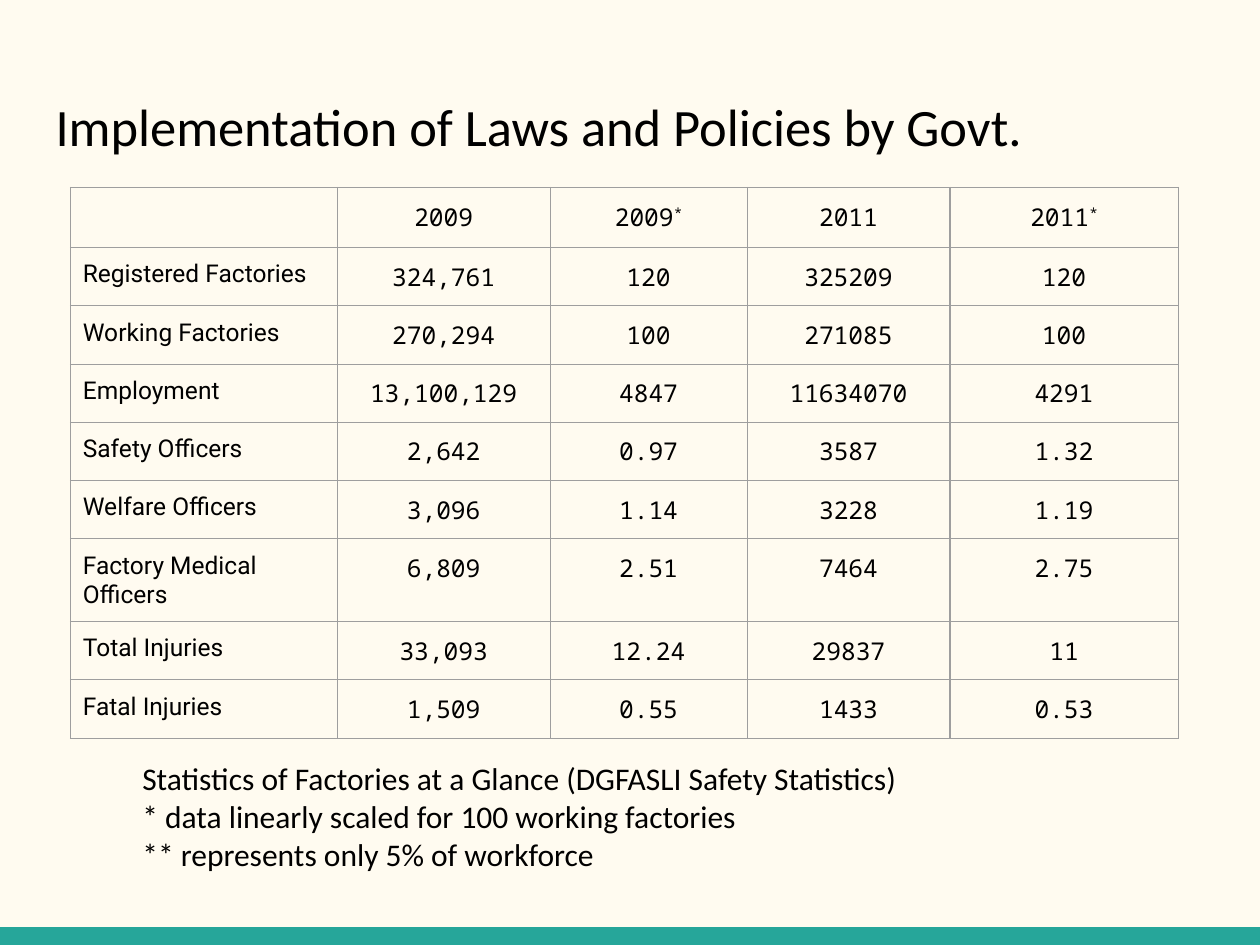
import pptx
import pptx.dml.color
import pptx.enum.shapes
import pptx.enum.text
import pptx.oxml
import pptx.util
from pptx.util import Cm

ALIGN = pptx.enum.text.PP_ALIGN
TOP = pptx.enum.text.MSO_ANCHOR.TOP
BLACK, CREAM, TEAL, GREY = "000000", "FFFBF0", "26A69A", "9E9E9E"
INSET = Cm(0.25)


def color(hex_code):
    return pptx.dml.color.RGBColor.from_string(hex_code)


def write(frame, text, *, font, size, align=ALIGN.LEFT):
    """Fill a text frame, one paragraph a line; each starred year gets a raised star."""
    frame.word_wrap = True
    frame.vertical_anchor = TOP
    frame.margin_left = frame.margin_right = INSET
    frame.margin_top = frame.margin_bottom = INSET
    for number, line in enumerate(text.split("\n")):
        paragraph = frame.add_paragraph() if number else frame.paragraphs[0]
        paragraph.alignment = align
        parts = [line[:-1], "*"] if line.endswith("*") else [line]
        for part in parts:
            run = paragraph.add_run()
            run.text = part
            run.font.name = font
            run.font.size = pptx.util.Pt(size)
            run.font.color.rgb = color(BLACK)
            if part == "*":
                run.font._element.set("baseline", "30000")


# Slide and background
deck = pptx.Presentation()
deck.slide_width, deck.slide_height = Cm(25.4), Cm(19.05)
slide = deck.slides.add_slide(deck.slide_layouts[5])
slide.background.fill.solid()
slide.background.fill.fore_color.rgb = color(CREAM)

# Bottom band
band = slide.shapes.add_shape(
    pptx.enum.shapes.MSO_SHAPE.RECTANGLE, 0, Cm(18.69), Cm(25.4), Cm(0.36))
band.shadow.inherit = False
band.fill.solid()
band.fill.fore_color.rgb = color(TEAL)
band.line.fill.background()

# Title
title = slide.shapes.title
title.left, title.top, title.width, title.height = Cm(0.87), Cm(1.65), Cm(23.67), Cm(2.26)
write(title.text_frame, "Implementation of Laws and Policies by Govt.",
      font="Calibri", size=30)

# Factory statistics
statistics = [
    ["", "2009", "2009*", "2011", "2011*"],
    ["Registered Factories", "324,761", "120", "325209", "120"],
    ["Working Factories", "270,294", "100", "271085", "100"],
    ["Employment", "13,100,129", "4847", "11634070", "4291"],
    ["Safety Officers", "2,642", "0.97", "3587", "1.32"],
    ["Welfare Officers", "3,096", "1.14", "3228", "1.19"],
    ["Factory Medical Officers", "6,809", "2.51", "7464", "2.75"],
    ["Total Injuries", "33,093", "12.24", "29837", "11"],
    ["Fatal Injuries", "1,509", "0.55", "1433", "0.53"],
]
column_widths = [5.38, 4.29, 3.97, 4.09, 4.6]
row_height = 1.08

grid = slide.shapes.add_table(
    len(statistics), len(column_widths), Cm(1.42), Cm(3.78),
    Cm(sum(column_widths)), Cm(row_height * len(statistics))).table
grid.first_row = grid.horz_banding = False
for column, width in zip(grid.columns, column_widths):
    column.width = Cm(width)
for row, values in zip(grid.rows, statistics):
    row.height = Cm(row_height)
    for position, (cell, value) in enumerate(zip(row.cells, values)):
        is_label = position == 0
        write(cell.text_frame, value, size=14,
              font="Roboto" if is_label else "Noto Sans Mono",
              align=ALIGN.LEFT if is_label else ALIGN.CENTER)
        cell.margin_left = cell.margin_right = INSET
        cell.margin_top = cell.margin_bottom = INSET
        cell.vertical_anchor = TOP

        # Borders stand before the fill in the cell properties
        properties = cell._tc.get_or_add_tcPr()
        for side in ("lnL", "lnR", "lnT", "lnB"):
            properties.append(pptx.oxml.parse_xml(
                f'<a:{side} xmlns:a="http://schemas.openxmlformats.org/drawingml/2006/main"'
                f' w="9525"><a:solidFill><a:srgbClr val="{GREY}"/></a:solidFill></a:{side}>'))
        cell.fill.background()

# Source and footnotes
footnotes = slide.shapes.add_textbox(Cm(2.62), Cm(15.06), Cm(20.12), Cm(2.72))
write(footnotes.text_frame,
      "Statistics of Factories at a Glance (DGFASLI Safety Statistics)\n"
      "* data linearly scaled for 100 working factories\n"
      "** represents only 5% of workforce",
      font="Calibri", size=18)

deck.save("out.pptx")
